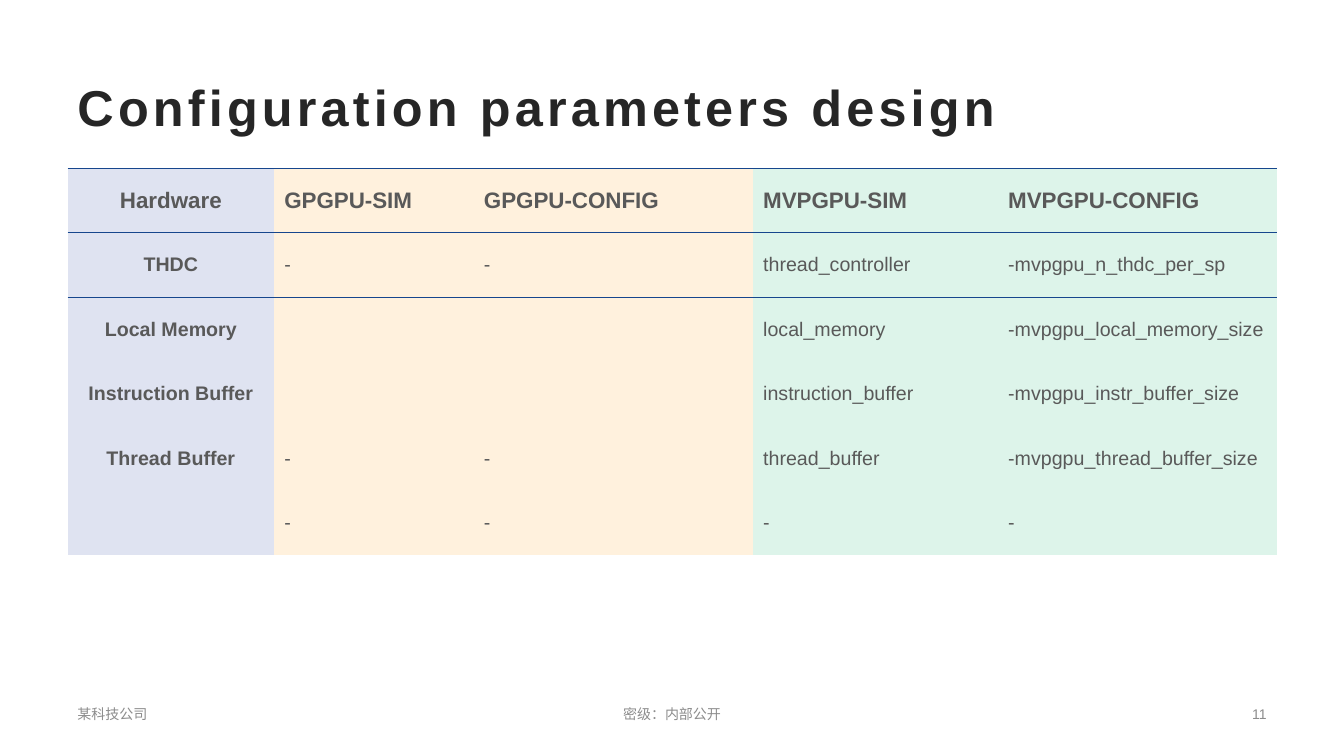
import pptx
import pptx.util
import pptx.dml.color
import pptx.enum.text
import pptx.oxml
import pptx.oxml.ns

Inches = pptx.util.Inches
ALIGN = pptx.enum.text.PP_ALIGN
MIDDLE = pptx.enum.text.MSO_ANCHOR.MIDDLE

THEME = {
    "font": "Arial",
    "title": "262626", "body": "595959", "footer": "8C8C8C", "rule": "16468D",
    "hardware": "DFE3F1", "gpgpu": "FFF1DD", "mvpgpu": "DDF4EA",
    "title_size": 36, "head_size": 16, "body_size": 14, "footer_size": 10,
}
NO_STYLE = "{2D5ABB26-0587-4C30-8999-92F81FD0307C}"


def set_text(tf, text, size, color, bold=False, align=ALIGN.LEFT):
    tf.text = text
    p = tf.paragraphs[0]
    p.alignment = align
    for font in [p.font] + [r.font for r in p.runs]:
        font.name = THEME["font"]
        font.size = pptx.util.Pt(THEME[size])
        font.bold = bold
        font.color.rgb = pptx.dml.color.RGBColor.from_string(THEME[color])
    return p


def add_label(s, box, text, size, color, bold=False, align=ALIGN.LEFT):
    tf = s.shapes.add_textbox(*[Inches(v) for v in box]).text_frame
    tf.word_wrap = True
    tf.vertical_anchor = MIDDLE
    return set_text(tf, text, size, color, bold, align)


prs = pptx.Presentation()
prs.slide_width = Inches(13.33)
prs.slide_height = Inches(7.5)
s = prs.slides.add_slide(prs.slide_layouts[6])

rows = [
    ["Hardware", "GPGPU-SIM", "GPGPU-CONFIG", "MVPGPU-SIM", "MVPGPU-CONFIG"],
    ["THDC", "-", "-", "thread_controller", "-mvpgpu_n_thdc_per_sp"],
    ["Local Memory", "", "", "local_memory", "-mvpgpu_local_memory_size"],
    ["Instruction Buffer", "", "", "instruction_buffer", "-mvpgpu_instr_buffer_size"],
    ["Thread Buffer", "-", "-", "thread_buffer", "-mvpgpu_thread_buffer_size"],
    ["", "-", "-", "-", "-"],
]
columns = [(2.05, "hardware"), (1.98, "gpgpu"), (2.77, "gpgpu"), (2.43, "mvpgpu"), (2.77, "mvpgpu")]
row_height = 0.64

table = s.shapes.add_table(
    len(rows), len(columns), Inches(0.67), Inches(1.67), Inches(12), Inches(row_height * len(rows))
).table
table.first_row = False
table.horz_banding = False
table._tbl.tblPr.find(pptx.oxml.ns.qn("a:tableStyleId")).text = NO_STYLE

for col, (width, fill) in enumerate(columns):
    table.columns[col].width = Inches(width)
    for row, values in enumerate(rows):
        cell = table.cell(row, col)
        cell.vertical_anchor = MIDDLE
        set_text(
            cell.text_frame, values[col],
            "head_size" if row == 0 else "body_size", "body",
            row == 0 or col == 0, ALIGN.CENTER if col == 0 else ALIGN.LEFT,
        )
        for side in {0: ["lnT", "lnB"], 1: ["lnT"]}.get(row, []):
            cell._tc.get_or_add_tcPr().append(pptx.oxml.parse_xml(
                f'<a:{side} {pptx.oxml.ns.nsdecls("a")} w="12700"><a:solidFill>'
                f'<a:srgbClr val="{THEME["rule"]}"/></a:solidFill></a:{side}>'
            ))
        cell.fill.solid()
        cell.fill.fore_color.rgb = pptx.dml.color.RGBColor.from_string(THEME[fill])

title = add_label(s, (0.67, 0.67, 12, 0.77), "Configuration parameters design", "title_size", "title", True)
title.runs[0].font._element.set("spc", "300")

footers = [
    (0.67, 2.95, "某科技公司", ALIGN.LEFT),
    (9.71, 2.95, "11", ALIGN.RIGHT),
    (4.5, 4.33, "密级：内部公开", ALIGN.CENTER),
]
for left, width, text, align in footers:
    add_label(s, (left, 6.91, width, 0.35), text, "footer_size", "footer", align=align)

prs.save("out.pptx")
